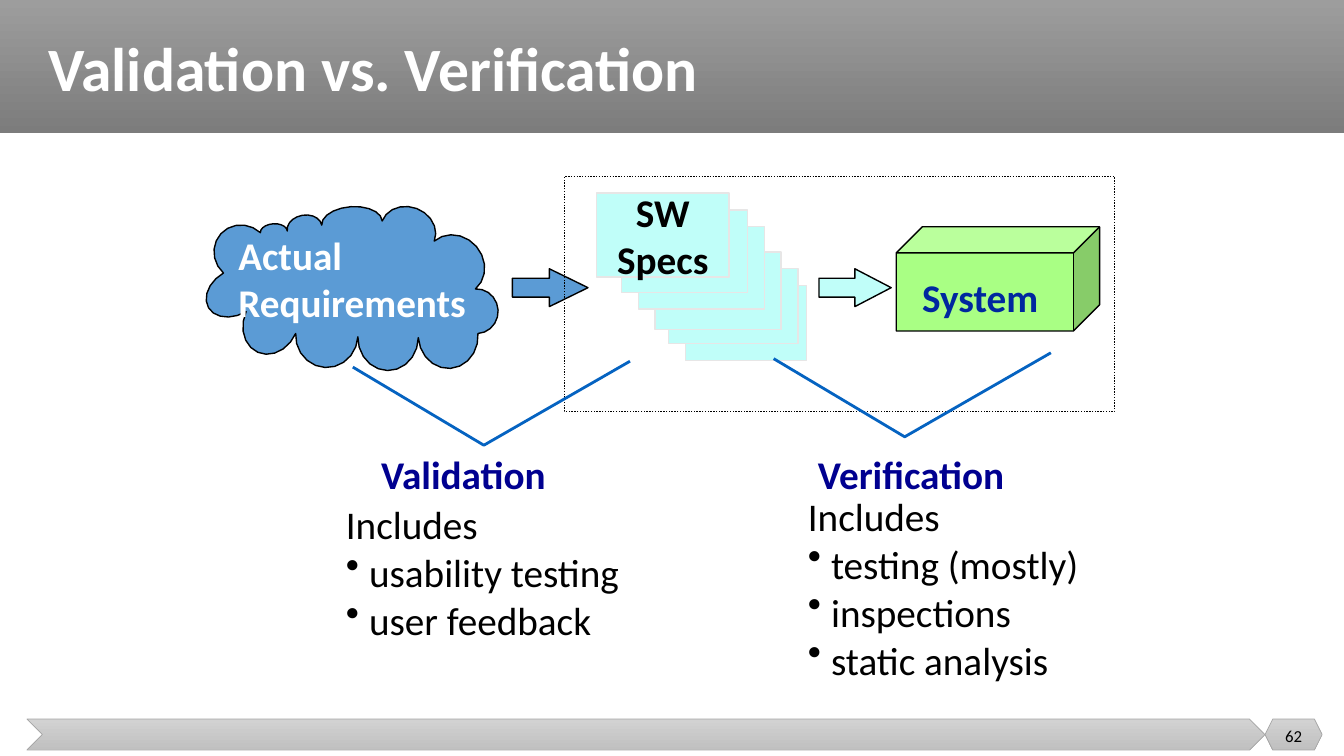
"""Builds the slide that sets validation against verification, on a grid of 160 columns by 90 rows."""
from dataclasses import dataclass
from math import cos, pi, sin

from lxml import etree
from pptx import Presentation
from pptx.dml.color import RGBColor
from pptx.enum.dml import MSO_LINE
from pptx.enum.shapes import MSO_SHAPE
from pptx.enum.text import MSO_ANCHOR, PP_ALIGN
from pptx.oxml.ns import qn
from pptx.util import Inches, Pt

RECTANGLE, ARROW, CUBE = MSO_SHAPE.RECTANGLE, MSO_SHAPE.RIGHT_ARROW, MSO_SHAPE.CUBE
CHEVRON, HEXAGON = MSO_SHAPE.CHEVRON, MSO_SHAPE.HEXAGON
TOP, MIDDLE = MSO_ANCHOR.TOP, MSO_ANCHOR.MIDDLE
LEFT, CENTER = PP_ALIGN.LEFT, PP_ALIGN.CENTER
DOTTED = MSO_LINE.ROUND_DOT

WIDTH, HEIGHT = Inches(13.33), Inches(7.5)
COLUMN, ROW = WIDTH / 160, HEIGHT / 90
FONT = "Calibri"
BLACK, WHITE, BLUE, AQUA, GREEN = "000000", "FFFFFF", "5B9BD5", "C0FEF9", "A9FF84"
NAVY, SYSTEM_BLUE, BRACKET_BLUE = "000090", "00279F", "0563C1"
PALE, GREY = "E7E6E6", "A5A5A5"
HEADER_SHADES, FOOTER_SHADES = ("9D9D9D", "7C7C7C"), ("D2D2D2", "C0C0C0")
BULLET_INDENT = Inches(0.23)
LOBE_STEPS = 10


@dataclass(frozen=True)
class Cell:
    left: float
    top: float
    columns: float
    rows: float

    def box(self) -> tuple[int, int, int, int]:
        return (round(self.left * COLUMN), round(self.top * ROW),
                round(self.columns * COLUMN), round(self.rows * ROW))


@dataclass(frozen=True)
class Lobe:
    column: float
    row: float
    bulge: float


@dataclass(frozen=True)
class Block:
    kind: MSO_SHAPE
    cell: Cell
    fill: str | tuple[str, str] | None = None
    line: str | None = None
    line_width: float = 1
    dash: MSO_LINE | None = None
    adjustments: tuple[float, ...] = ()


@dataclass(frozen=True)
class Label:
    text: str
    cell: Cell
    color: str
    size: float = 28
    bold: bool = True
    anchor: MSO_ANCHOR = TOP
    align: PP_ALIGN = LEFT
    wrap: bool = False


@dataclass(frozen=True)
class Checklist:
    items: tuple[str, ...]
    cell: Cell


CLOUD_LOBES = [
    Lobe(31, 27.7, 0.52), Lobe(26.6, 32.5, 0.68), Lobe(29.3, 37.1, 0.6), Lobe(35.2, 39.7, 0.52),
    Lobe(42.6, 40.1, 0.55), Lobe(49.8, 40.2, 0.55), Lobe(56.9, 39.7, 0.48), Lobe(56.6, 34.4, 0.45),
    Lobe(51.7, 28.7, 0.43), Lobe(45.5, 26.3, 0.27), Lobe(38.3, 26.8, 0.37), Lobe(34.2, 27.5, 0.3)]
VALIDATION_BRACKET = [(42, 43.7), (57.6, 53), (75, 43)]
VERIFICATION_BRACKET = [(column + 50.1, row - 1) for column, row in VALIDATION_BRACKET]
FRAME = [
    Block(RECTANGLE, Cell(0, 0, 160, 15.9), HEADER_SHADES),
    Block(CHEVRON, Cell(3.2, 85.6, 147.4, 3.7), FOOTER_SHADES, GREY, 0.5),
    Block(HEXAGON, Cell(150.6, 85.6, 6.8, 3.7), FOOTER_SHADES, GREY, 0.5),
]
SPEC_PAGES = [Cell(81.6, 34, 14.4, 8.9), Cell(79.6, 32, 15.4, 8.9), Cell(78, 30, 15, 9.2),
              Cell(76, 27, 15, 9.8), Cell(74, 25, 15, 9.8), Cell(71, 23, 15.8, 10)]
PROCESS = [
    Block(ARROW, Cell(61, 32, 9, 4.5), BLUE, BLACK, adjustments=(0.5, 1.02)),
    Block(RECTANGLE, Cell(67.2, 21, 65.5, 28), None, BLACK, dash=DOTTED),
    Block(ARROW, Cell(97.5, 32, 8.6, 4.5), AQUA, BLACK, adjustments=(0.5, 0.96)),
    Block(CUBE, Cell(106.7, 27, 24.2, 12.4), GREEN, BLACK, adjustments=(0.25,)),
    *(Block(RECTANGLE, page, AQUA, PALE) for page in SPEC_PAGES),
]
LABELS = [
    Label("Validation vs. Verification", Cell(4.6, 0, 152.9, 15.9), WHITE, 44, anchor=MIDDLE, wrap=True),
    Label("Actual\nRequirements", Cell(27.2, 27, 30.7, 12.5), WHITE),
    Label("SW\vSpecs", SPEC_PAGES[-1], BLACK, anchor=MIDDLE, align=CENTER),
    Label("System", Cell(108.6, 32, 17.2, 6.8), SYSTEM_BLUE),
    Label("Validation", Cell(44.2, 53, 22.7, 6.8), NAVY),
    Label("Verification", Cell(96.2, 53, 25.8, 6.8), NAVY),
    Label("62", Cell(150.6, 85.2, 6.8, 4.8), BLACK, 12, False, MIDDLE, CENTER),
]
CHECKLISTS = [
    Checklist(("usability testing", "user feedback"), Cell(40, 61, 39.6, 17.4)),
    Checklist(("testing (mostly)", "inspections", "static analysis"), Cell(95, 60, 39.6, 23.6)),
]


def rgb(color: str) -> RGBColor:
    return RGBColor.from_string(color)


def paint(shape, fill: str | tuple[str, str] | None, line: str | None, line_width: float) -> None:
    shape.shadow.inherit = False
    if fill is None:
        shape.fill.background()
    elif isinstance(fill, str):
        shape.fill.solid()
        shape.fill.fore_color.rgb = rgb(fill)
    else:
        shape.fill.gradient()
        shape.fill.gradient_angle = 270
        for stop, shade in zip(shape.fill.gradient_stops, fill):
            stop.color.rgb = rgb(shade)
    if line is None:
        shape.line.fill.background()
    else:
        shape.line.color.rgb = rgb(line)
        shape.line.width = Pt(line_width)


def draw_block(shapes, block: Block) -> None:
    shape = shapes.add_shape(block.kind, *block.cell.box())
    for index, value in enumerate(block.adjustments):
        shape.adjustments[index] = value
    paint(shape, block.fill, block.line, block.line_width)
    if block.dash is not None:
        shape.line.dash_style = block.dash


def cloud_points(lobes: list[Lobe]) -> list[tuple[float, float]]:
    points = []
    for lobe, following in zip(lobes, lobes[1:] + lobes[:1]):
        across, down = following.column - lobe.column, following.row - lobe.row
        for step in range(LOBE_STEPS):
            angle = pi * step / LOBE_STEPS
            along, outward = (1 - cos(angle)) / 2, lobe.bulge * sin(angle)
            points.append((lobe.column + along * across - outward * down,
                           lobe.row + along * down + outward * across))
    return points


def draw_outline(shapes, points: list[tuple[float, float]], closed: bool,
                 fill: str | None, line: str, line_width: float) -> None:
    corners = [(round(column * COLUMN), round(row * ROW)) for column, row in points]
    builder = shapes.build_freeform(*corners[0])
    builder.add_line_segments(corners[1:], close=closed)
    paint(builder.convert_to_shape(), fill, line, line_width)


def style_font(paragraph, size: float, color: str, bold: bool) -> None:
    font = paragraph.font
    font.name, font.size, font.bold = FONT, Pt(size), bold
    font.color.rgb = rgb(color)


def draw_label(shapes, label: Label) -> None:
    frame = shapes.add_textbox(*label.cell.box()).text_frame
    frame.text = label.text
    frame.word_wrap = label.wrap
    frame.vertical_anchor = label.anchor
    for paragraph in frame.paragraphs:
        paragraph.alignment = label.align
        style_font(paragraph, label.size, label.color, label.bold)


def draw_checklist(shapes, checklist: Checklist) -> None:
    frame = shapes.add_textbox(*checklist.cell.box()).text_frame
    frame.word_wrap = True
    frame.text = "\n".join(("Includes", *checklist.items))
    for index, paragraph in enumerate(frame.paragraphs):
        paragraph.line_spacing = 0.6
        if index:
            paragraph.space_before = Pt(14)
            properties = paragraph._p.get_or_add_pPr()
            properties.set("marL", str(BULLET_INDENT))
            properties.set("indent", str(-BULLET_INDENT))
            etree.SubElement(properties, qn("a:buChar"), char="•")
        style_font(paragraph, 28, BLACK, False)


def main() -> None:
    presentation = Presentation()
    presentation.slide_width, presentation.slide_height = WIDTH, HEIGHT
    shapes = presentation.slides.add_slide(presentation.slide_layouts[6]).shapes
    for block in FRAME:
        draw_block(shapes, block)
    draw_outline(shapes, cloud_points(CLOUD_LOBES), True, BLUE, BLACK, 1)
    for block in PROCESS:
        draw_block(shapes, block)
    for bracket in (VALIDATION_BRACKET, VERIFICATION_BRACKET):
        draw_outline(shapes, bracket, False, None, BRACKET_BLUE, 2)
    for label in LABELS:
        draw_label(shapes, label)
    for checklist in CHECKLISTS:
        draw_checklist(shapes, checklist)
    presentation.save("out.pptx")


if __name__ == "__main__":
    main()
